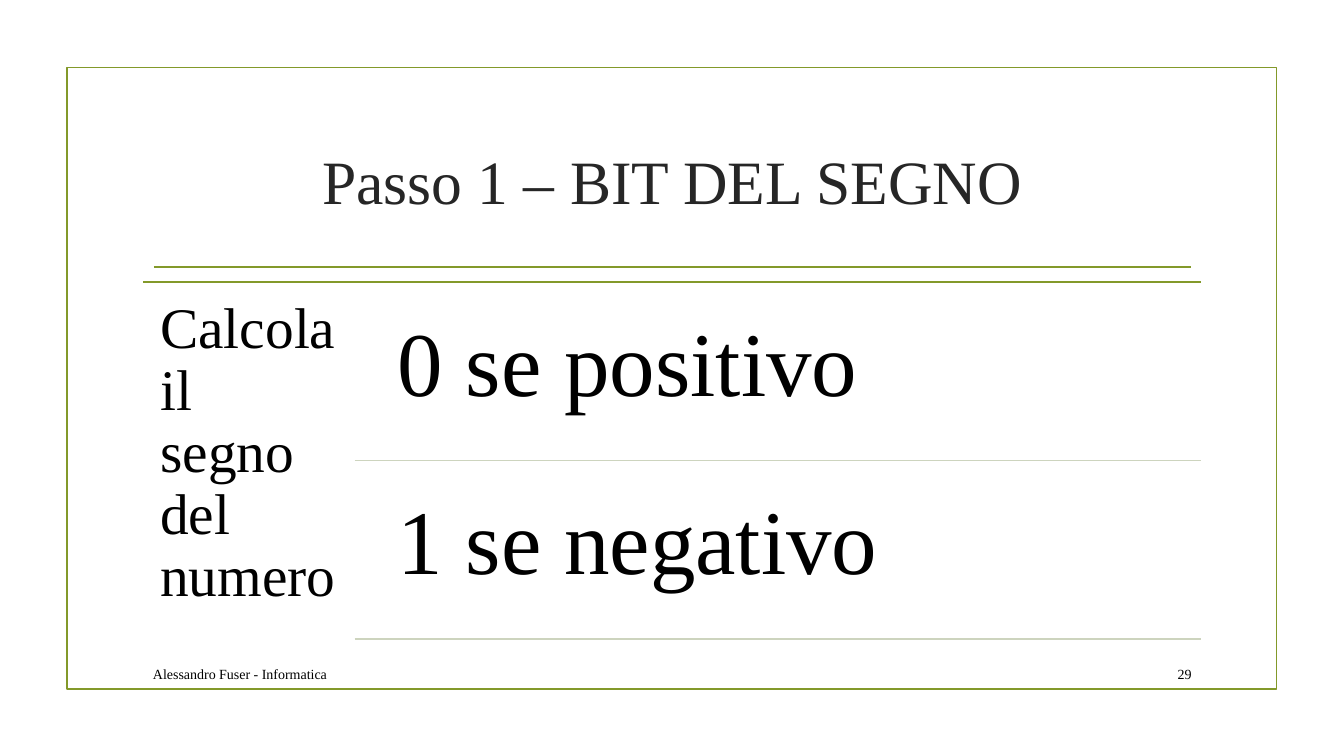
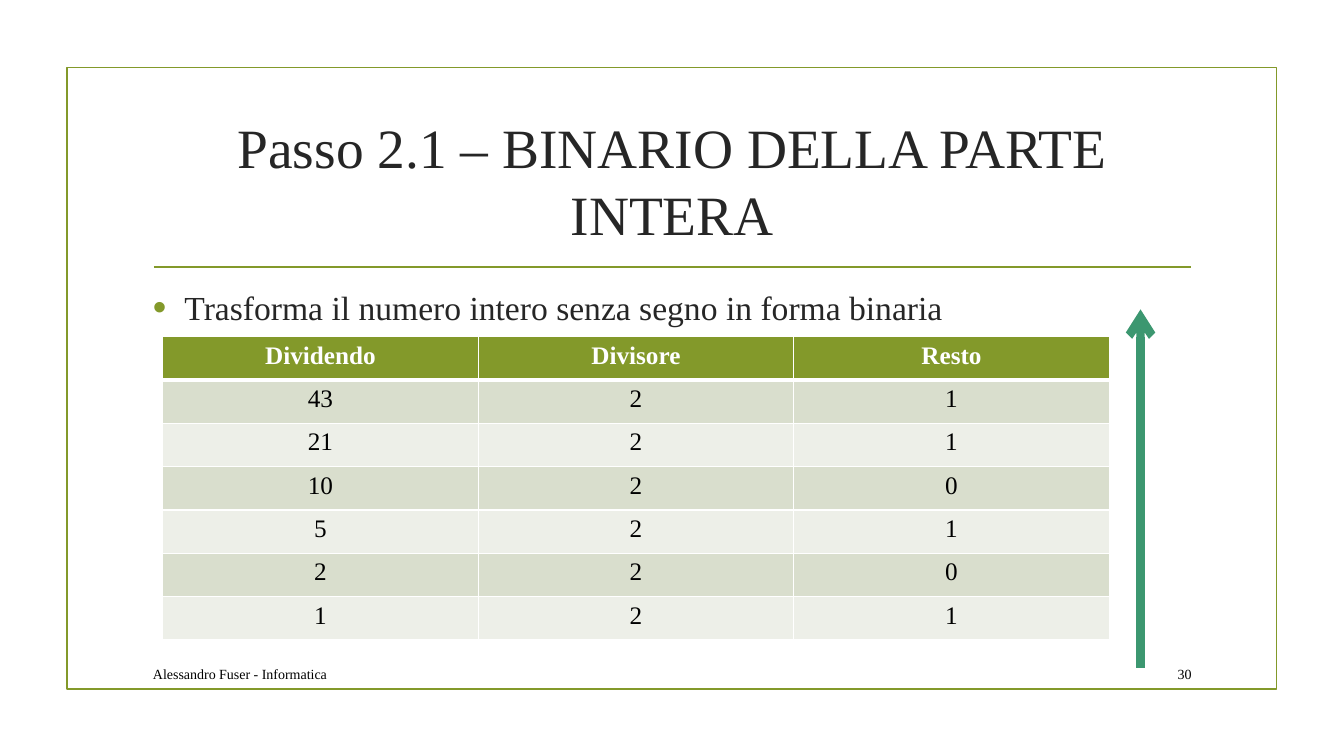
"""Build two slides on the sign bit and the binary form of the integer part."""
import lxml.etree
import pptx
import pptx.dml.color
import pptx.enum.shapes
import pptx.enum.text
import pptx.oxml.ns
import pptx.util

Pt = pptx.util.Pt
qn = pptx.oxml.ns.qn
Align = pptx.enum.text.PP_ALIGN
Anchor = pptx.enum.text.MSO_ANCHOR
RGB = pptx.dml.color.RGBColor.from_string

FONT = "Times New Roman"
COLORS = {
    "olive": "83992A", "title": "262626", "black": "000000", "white": "FFFFFF",
    "rule": "CDD4BE", "arrow": "3C9770", "band": "D9DECD", "light": "EDEFE8",
}
LEFT, WIDTH = 102.2, 756
RIGHT = LEFT + WIDTH


def write_text(frame, text, size, color="black", align=Align.LEFT, anchor=Anchor.TOP,
               inset=None, spacing=None, bold=False, bullet=False):
    frame.word_wrap = True
    frame.auto_size = pptx.enum.text.MSO_AUTO_SIZE.NONE
    frame.vertical_anchor = anchor
    if inset is not None:
        frame.margin_left = frame.margin_right = Pt(inset)
        frame.margin_top = frame.margin_bottom = Pt(inset)
    para = frame.paragraphs[0]
    if bullet:
        properties = para._p.get_or_add_pPr()
        properties.set("marL", str(Pt(22.5)))
        properties.set("indent", str(Pt(-22.5)))
        tint = lxml.etree.SubElement(properties, qn("a:buClr"))
        lxml.etree.SubElement(tint, qn("a:srgbClr"), val=COLORS["olive"])
        lxml.etree.SubElement(properties, qn("a:buSzPct"), val="115000")
        lxml.etree.SubElement(properties, qn("a:buFont"), typeface="Arial")
        lxml.etree.SubElement(properties, qn("a:buChar"), char="•")
    para.alignment = align
    para.line_spacing = spacing
    span = para.add_run()
    span.text = text
    span.font.name = FONT
    span.font.size = Pt(size)
    span.font.bold = bold
    span.font.color.rgb = RGB(COLORS[color])


def draw_line(page, x1, y1, x2, y2, color, width=1.25, arrow=False):
    line = page.shapes.add_connector(
        pptx.enum.shapes.MSO_CONNECTOR.STRAIGHT, Pt(x1), Pt(y1), Pt(x2), Pt(y2))
    line.line.color.rgb = RGB(COLORS[color])
    line.line.width = Pt(width)
    properties = line._element.spPr
    if arrow:
        lxml.etree.SubElement(properties.find(qn("a:ln")), qn("a:tailEnd"), type="arrow")
    lxml.etree.SubElement(properties, qn("a:effectLst"))


deck = pptx.Presentation()
deck.slide_width, deck.slide_height = Pt(960), Pt(540)

titles = [
    ("Passo 1 – BIT DEL SEGNO", 44, "29"),
    ("Passo 2.1 – BINARIO DELLA PARTE INTERA", 39.6, "30"),
]
pages = []
for heading, heading_size, number in titles:
    page = deck.slides.add_slide(deck.slide_layouts[5])
    pages.append(page)
    frame = page.shapes.add_shape(
        pptx.enum.shapes.MSO_SHAPE.RECTANGLE, Pt(47.8), Pt(48.2), Pt(864), Pt(444))
    frame.shadow.inherit = False
    frame.fill.background()
    frame.line.color.rgb = RGB(COLORS["olive"])
    frame.line.width = Pt(1.25)
    draw_line(page, 110, 190.8, 850.5, 190.8, "olive")

    title = page.shapes.title
    title.left, title.top, title.width, title.height = Pt(LEFT), Pt(77), Pt(WIDTH), Pt(103)
    write_text(title.text_frame, heading, heading_size, color="title",
               align=Align.CENTER, anchor=Anchor.MIDDLE)

    footers = [
        (LEFT, 575, "Alessandro Fuser - Informatica", Align.LEFT),
        (RIGHT - 42.5, 42.5, number, Align.RIGHT),
    ]
    for left, width, text, align in footers:
        box = page.shapes.add_textbox(Pt(left), Pt(470), Pt(width), Pt(22.3))
        write_text(box.text_frame, text, 10, align=align, anchor=Anchor.MIDDLE)

sign_page, binary_page = pages

BODY_TOP = 201.5
draw_line(sign_page, LEFT, BODY_TOP, RIGHT, BODY_TOP, "olive")
box = sign_page.shapes.add_textbox(Pt(LEFT), Pt(BODY_TOP), Pt(151.2), Pt(261.4))
write_text(box.text_frame, "Calcola il segno del numero", 41, inset=12.3, spacing=0.9)

CASE_HEIGHT, CASE_GAP = 121.5, 6
for index, text in enumerate(["0 se positivo", "1 se negativo"]):
    top = BODY_TOP + CASE_GAP + index * (CASE_HEIGHT + CASE_GAP)
    bottom = top + CASE_HEIGHT
    box = sign_page.shapes.add_textbox(Pt(264.5), Pt(top), Pt(593.5), Pt(CASE_HEIGHT))
    write_text(box.text_frame, text, 65, inset=19.5, spacing=0.9)
    draw_line(sign_page, 253.4, bottom, RIGHT, bottom, "rule")

box = binary_page.shapes.add_textbox(Pt(LEFT), Pt(BODY_TOP), Pt(WIDTH), Pt(261.4))
write_text(box.text_frame, "Trasforma il numero intero senza segno in forma binaria", 24,
           color="title", bullet=True)
draw_line(binary_page, 814.7, 476.8, 814.7, 221, "arrow", width=6, arrow=True)

rows = [["Dividendo", "Divisore", "Resto"]]
dividend = 43
while dividend:
    rows.append([str(dividend), "2", str(dividend % 2)])
    dividend //= 2

ROW_HEIGHT, COLUMN_WIDTH = 30.96, 225.4
table = binary_page.shapes.add_table(
    len(rows), len(rows[0]), Pt(116.2), Pt(240.5),
    Pt(COLUMN_WIDTH * len(rows[0])), Pt(ROW_HEIGHT * len(rows))).table
for column in table.columns:
    column.width = Pt(COLUMN_WIDTH)
for row_index, values in enumerate(rows):
    table.rows[row_index].height = Pt(ROW_HEIGHT)
    header = row_index == 0
    fill = "olive" if header else ("band" if row_index % 2 else "light")
    for column_index, text in enumerate(values):
        cell = table.cell(row_index, column_index)
        properties = cell._tc.get_or_add_tcPr()
        for side in "LRTB":
            heavy = (header and side == "B") or (row_index == 1 and side == "T")
            border = lxml.etree.SubElement(
                properties, qn("a:ln" + side), w=str(Pt(3 if heavy else 1)))
            solid = lxml.etree.SubElement(border, qn("a:solidFill"))
            lxml.etree.SubElement(solid, qn("a:srgbClr"), val=COLORS["white"])
        cell.fill.solid()
        cell.fill.fore_color.rgb = RGB(COLORS[fill])
        write_text(cell.text_frame, text, 18, color="white" if header else "black",
                   align=Align.CENTER, bold=header)

deck.save("out.pptx")
